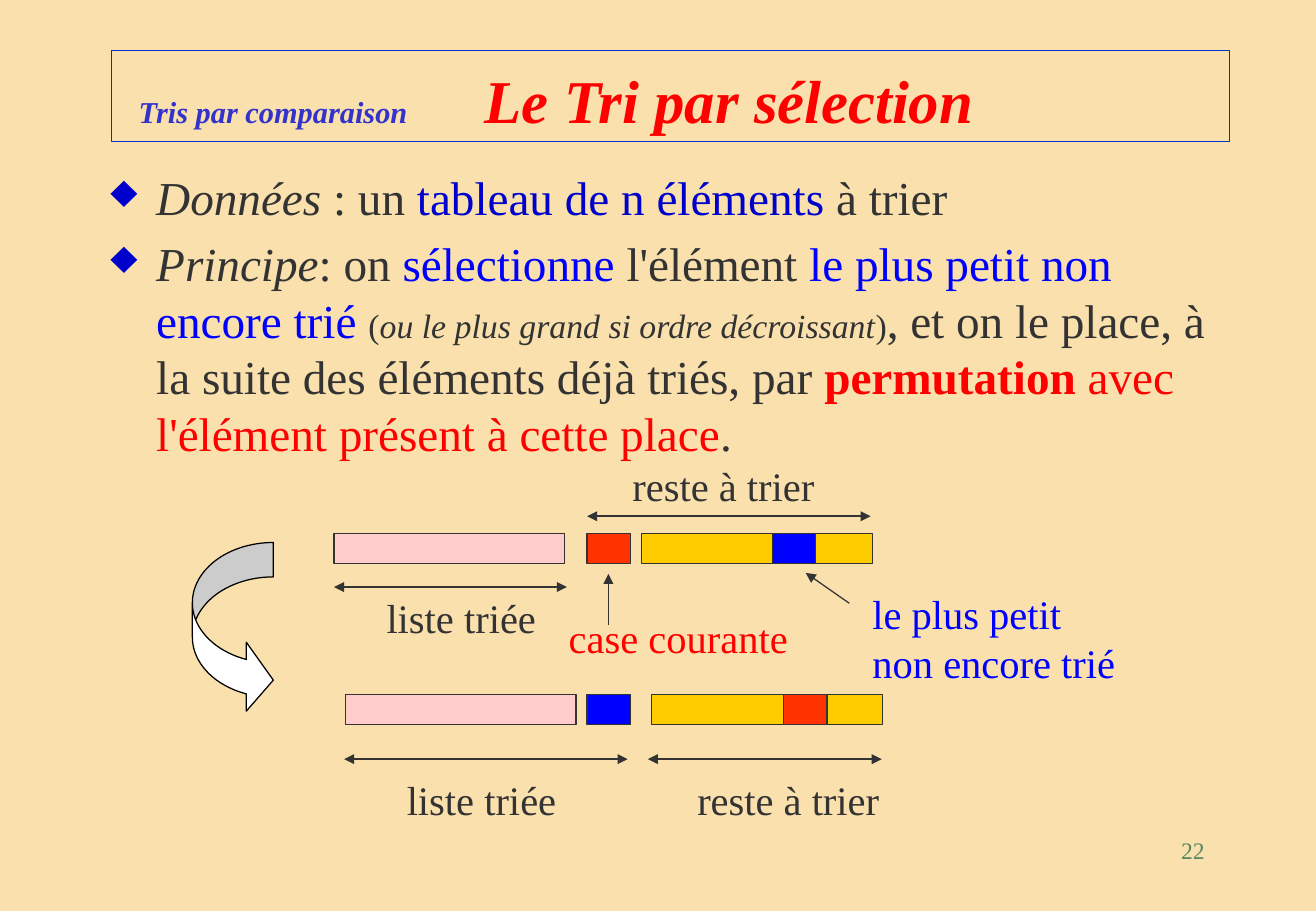
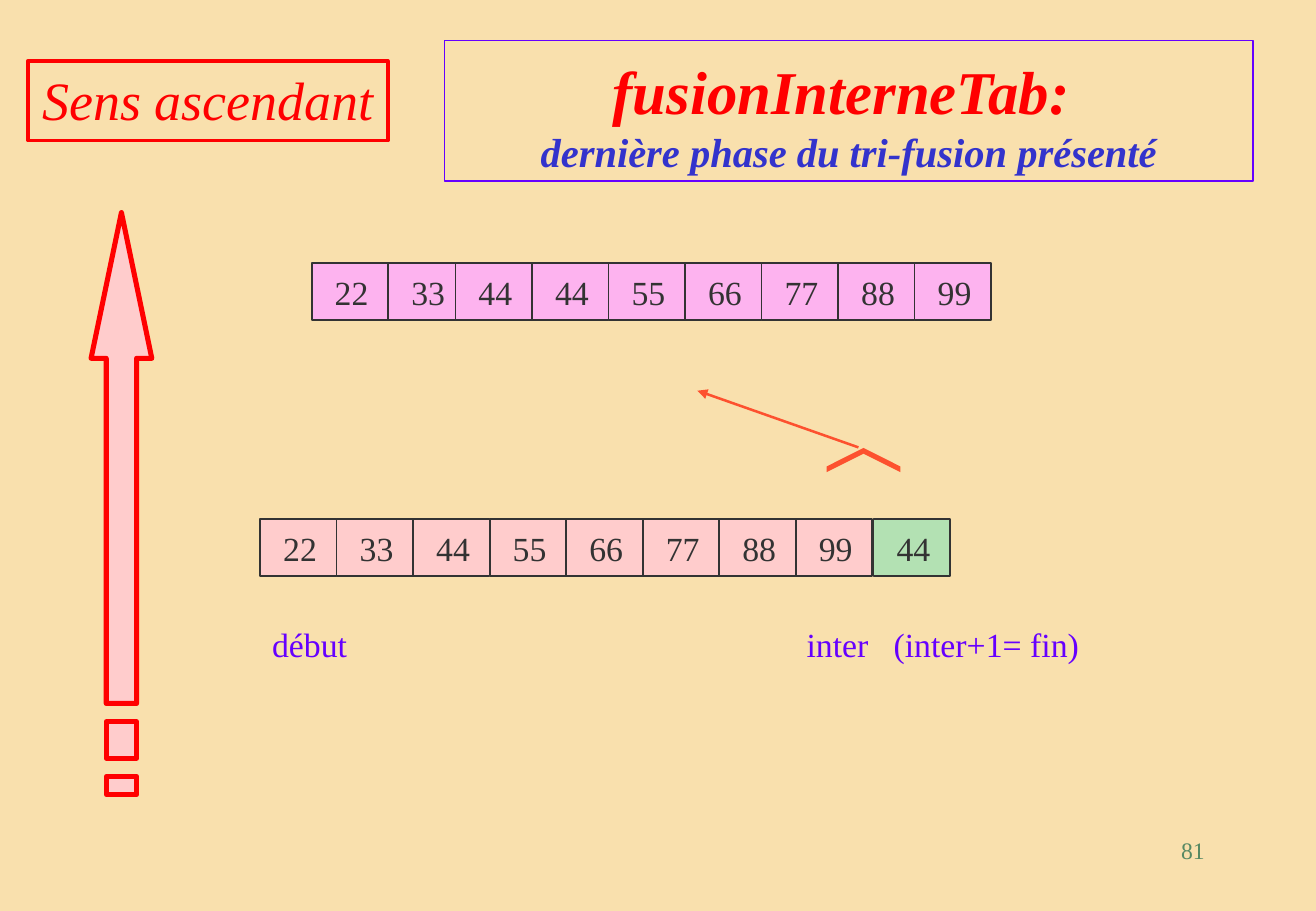
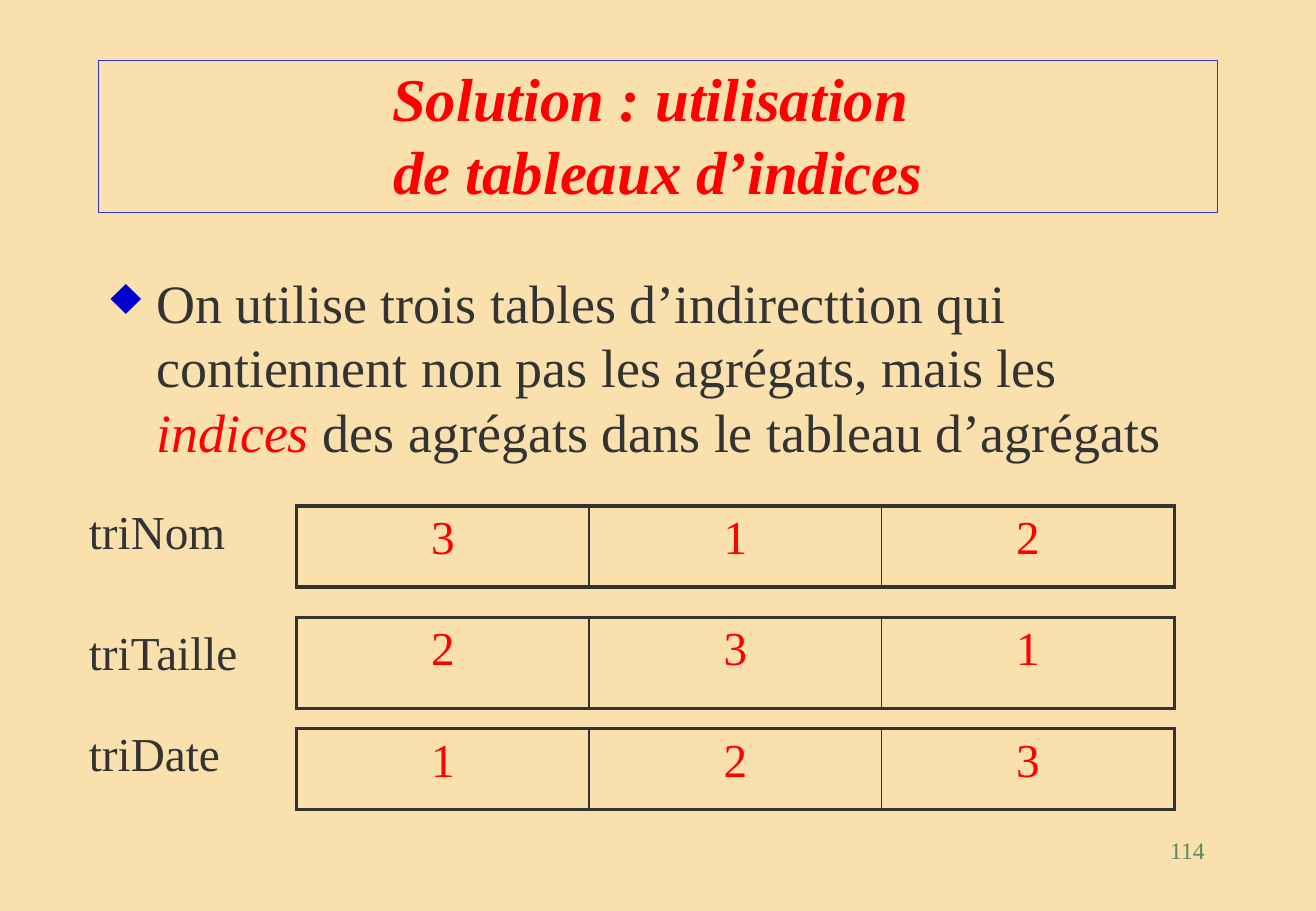
"""Three course slides on sorting algorithms, laid out on a grid of 130 columns by 90 rows."""
import pptx
import pptx.dml.color
import pptx.enum.shapes
import pptx.enum.text
import pptx.oxml.ns
import pptx.util
from lxml import etree

COLUMNS, ROWS = 130, 90
CELL = pptx.util.Inches(1) // 12
FONT = "Times New Roman"
ARROW_END = "triangle"

RGB = pptx.dml.color.RGBColor
SAND = RGB(0xF9, 0xE0, 0xAD)
INK = RGB(0x33, 0x33, 0x33)
BLACK = RGB(0x00, 0x00, 0x00)
WHITE = RGB(0xFF, 0xFF, 0xFF)
RED = RGB(0xFF, 0x00, 0x00)
ORANGE_RED = RGB(0xFF, 0x33, 0x00)
CORAL = RGB(0xFD, 0x51, 0x2F)
GOLD = RGB(0xFF, 0xCC, 0x00)
BLUE = RGB(0x00, 0x00, 0xFF)
DARK_BLUE = RGB(0x00, 0x00, 0xCC)
FRAME_BLUE = RGB(0x00, 0x33, 0xCC)
INDIGO = RGB(0x33, 0x33, 0xCC)
VIOLET = RGB(0x66, 0x00, 0xFF)
ROSE = RGB(0xFF, 0xCC, 0xCC)
PINK = RGB(0xFD, 0xB3, 0xEF)
MINT = RGB(0xB3, 0xE1, 0xB3)
GREEN = RGB(0x57, 0x89, 0x63)

ALIGN = pptx.enum.text.PP_ALIGN
ANCHOR = pptx.enum.text.MSO_ANCHOR
SHAPE = pptx.enum.shapes.MSO_SHAPE
TITLE = dict(size=36, color=RED, bold=True, italic=True, anchor=ANCHOR.BOTTOM)


def grid(*lengths):
    return [round(length * CELL) for length in lengths]


def add_node(parent, tag, **attributes):
    node = etree.SubElement(parent, pptx.oxml.ns.qn(tag))
    for name, value in attributes.items():
        node.set(name, str(value))
    return node


def add_bullet(para):
    properties = para._p.get_or_add_pPr()
    indent, = grid(4.5)
    properties.set("marL", str(indent))
    properties.set("indent", str(-indent))
    add_node(add_node(properties, "a:buClr"), "a:srgbClr", val=DARK_BLUE)
    add_node(properties, "a:buChar", char="♦")


def add_tabs(para, tabs):
    stops = add_node(para._p.get_or_add_pPr(), "a:tabLst")
    for position in grid(*tabs):
        add_node(stops, "a:tab", pos=position, algn="l")


def write(frame, *paras, size=24, color=INK, bold=False, italic=False,
          align=ALIGN.LEFT, bullet=False, tabs=(), before=0):
    """Fill a text frame; a paragraph is a string or a list of strings and (string, format) pairs."""
    for index, content in enumerate(paras):
        para = frame.paragraphs[0] if index == 0 else frame.add_paragraph()
        para.alignment = align
        para.space_before = pptx.util.Pt(before)
        if bullet:
            add_bullet(para)
        if tabs:
            add_tabs(para, tabs)
        for part in [content] if isinstance(content, str) else content:
            text, changes = (part, {}) if isinstance(part, str) else part
            style = dict(size=size, color=color, bold=bold, italic=italic) | changes
            span = para.add_run()
            span.text = text
            span.font.name = FONT
            span.font.size = pptx.util.Pt(style["size"])
            span.font.bold = style["bold"]
            span.font.italic = style["italic"]
            span.font.color.rgb = style["color"]


def put_text(shape, *paras, anchor=ANCHOR.TOP, inset=1.2, **style):
    frame = shape.text_frame
    frame.word_wrap = True
    frame.vertical_anchor = anchor
    frame.margin_left, frame.margin_right = grid(inset, min(inset, 1.2))
    write(frame, *paras, **style)


def add_text(page, at, *paras, **style):
    put_text(page.shapes.add_textbox(*grid(*at)), *paras, **style)


def paint(shape, fill, line, weight):
    shape.shadow.inherit = False
    if fill is None:
        shape.fill.background()
    else:
        shape.fill.solid()
        shape.fill.fore_color.rgb = fill
    shape.line.color.rgb = line
    shape.line.width = pptx.util.Pt(weight)


def add_box(page, at, fill=None, line=INK, weight=0.75, kind=SHAPE.RECTANGLE, adjust=()):
    box = page.shapes.add_shape(kind, *grid(*at))
    paint(box, fill, line, weight)
    for index, value in enumerate(adjust):
        box.adjustments[index] = value
    return box


def add_arrow(page, start, end, color=INK, weight=0.75, double=False):
    arrow = page.shapes.add_connector(
        pptx.enum.shapes.MSO_CONNECTOR.STRAIGHT, *grid(*start, *end))
    arrow.line.color.rgb = color
    arrow.line.width = pptx.util.Pt(weight)
    outline = arrow.line._get_or_add_ln()
    if double:
        add_node(outline, "a:headEnd", type=ARROW_END)
    add_node(outline, "a:tailEnd", type=ARROW_END)
    add_node(arrow._element.spPr, "a:effectLst")


def add_span_arrow(page, left, right, row):
    add_arrow(page, (left, row), (right, row), weight=1, double=True)


def add_bars(page, row, bars):
    for left, width, fill in bars:
        add_box(page, (left, row, width, 3), fill)


def add_number_cells(page, left, row, values, fill):
    width = 7.56
    for index, value in enumerate(values):
        cell = add_box(page, (left + index * width, row, width, 5.64), fill, weight=1)
        put_text(cell, str(value), size=20, align=ALIGN.CENTER,
                 anchor=ANCHOR.MIDDLE, inset=1.5)


def add_outline(page, contours, fill, line, weight):
    start, *others = [[grid(*point) for point in contour] for contour in contours]
    builder = page.shapes.build_freeform(*start[0], scale=1.0)
    builder.add_line_segments(start[1:], close=True)
    for contour in others:
        builder.move_to(*contour[0])
        builder.add_line_segments(contour[1:], close=True)
    paint(builder.convert_to_shape(), fill, line, weight)


def add_border(cell, side, weight):
    border = add_node(cell._tc.get_or_add_tcPr(), "a:ln" + side, w=pptx.util.Pt(weight))
    add_node(add_node(border, "a:solidFill"), "a:srgbClr", val=INK)


def add_index_table(page, row, height, values):
    table = page.shapes.add_table(1, len(values), *grid(29.3, row, 86.7, height)).table
    table.first_row = table.horz_banding = False
    last = len(values) - 1
    for index, value in enumerate(values):
        cell = table.cell(0, index)
        add_border(cell, "L", 2.25 if index == 0 else 1)
        add_border(cell, "R", 2.25 if index == last else 1)
        add_border(cell, "T", 2.25)
        add_border(cell, "B", 2.25)
        cell.fill.background()
        write(cell.text_frame, str(value), size=28, color=RED,
              align=ALIGN.CENTER, before=5.6)


def add_page(deck, number):
    page = deck.slides.add_slide(deck.slide_layouts[6])
    add_text(page, (93.1, 82, 27.1, 6), str(number), size=14, color=GREEN, align=ALIGN.RIGHT)
    return page


def add_selection_page(deck):
    page = add_page(deck, 22)
    title = add_box(page, (11, 5, 110.5, 9), line=FRAME_BLUE)
    put_text(title, [("Tris par comparaison", dict(size=18, color=INDIGO)),
                     "\tLe Tri par sélection"], tabs=[34.2], inset=2.7, **TITLE)
    add_text(
        page, (9.75, 16, 113.25, 68),
        [("Données ", dict(italic=True)), ": un ",
         ("tableau de n éléments", dict(color=DARK_BLUE)), " à trier"],
        [("Principe", dict(italic=True)), ": on ",
         ("sélectionne", dict(color=BLUE)), " l'élément ",
         ("le plus petit non encore trié ", dict(color=BLUE)),
         ("(", dict(size=20)),
         ("ou le plus grand si ordre décroissant", dict(size=20, italic=True)),
         (")", dict(size=20)),
         ", et on le place, à la suite des éléments déjà triés, par ",
         ("permutation", dict(color=RED, bold=True)),
         (" avec l'élément présent à cette place", dict(color=RED)), "."],
        size=28, bullet=True, before=5.6)

    add_bars(page, 52.7, [(33, 22.8, ROSE), (58, 4.3, ORANGE_RED),
                          (63.4, 22.8, GOLD), (76.3, 4.3, BLUE)])
    add_bars(page, 68.6, [(34.1, 22.8, ROSE), (58, 4.3, BLUE),
                          (64.4, 22.8, GOLD), (77.4, 4.3, ORANGE_RED)])
    for left, right, row in [(58, 86, 51), (33, 56, 58), (34, 62, 75), (64, 87.1, 75)]:
        add_span_arrow(page, left, right, row)
    add_arrow(page, (60.1, 61.7), (60.1, 56.7))
    add_arrow(page, (83.9, 59.6), (79.6, 56.6))
    add_box(page, (19, 53.6, 8, 17), WHITE, BLACK,
            kind=SHAPE.CURVED_RIGHT_ARROW, adjust=(0.425, 0.85, 0.333))

    for left, row, text, color in [
            (61.3, 45, "reste à trier", INK), (37, 58, "liste triée", INK),
            (55, 60, "case courante", RED), (39, 76, "liste triée", INK),
            (67.7, 76, "reste à trier", INK)]:
        add_text(page, (left, row, 26, 6), text, color=color)
    add_text(page, (85, 57.6, 28, 14.8), "le plus petit", "non encore trié", color=BLUE)


def add_merge_page(deck):
    page = add_page(deck, 81)
    title = add_box(page, (43.9, 4, 79.9, 13.9), line=VIOLET)
    put_text(title, "fusionInterneTab: ",
             [("dernière phase du tri-fusion présenté", dict(size=24, color=INDIGO))],
             align=ALIGN.CENTER, **TITLE)
    direction = add_box(page, (2.8, 6, 35.5, 7.9), line=RED, weight=2.25)
    put_text(direction, "Sens ascendant", size=32, color=RED, italic=True,
             align=ALIGN.CENTER, inset=0)

    add_number_cells(page, 30.8, 26, [22, 33], PINK)
    add_number_cells(page, 45, 26, [44, 44, 55, 66, 77, 88, 99], PINK)
    add_number_cells(page, 25.7, 51.3, [22, 33, 44, 55, 66, 77, 88, 99], ROSE)
    add_number_cells(page, 86.3, 51.3, [44], MINT)

    bracket = add_box(page, (84.1, 41.8, 2.4, 7.3), CORAL, CORAL,
                      kind=SHAPE.CHEVRON, adjust=(0.765,))
    bracket.line.fill.background()
    bracket.rotation = 270
    add_arrow(page, (84.8, 44.2), (68.9, 38.6), CORAL, 1.5)

    left, right, neck = 10.5, 13.5, 35.4
    upward = [(12, 21), (15, neck), (right, neck), (right, 69.5),
              (left, 69.5), (left, neck), (9, neck)]
    dashes = [[(left, top), (right, top), (right, bottom), (left, bottom)]
              for top, bottom in [(71.3, 74.9), (76.7, 78.5)]]
    add_outline(page, [upward, *dashes], ROSE, RED, 3)
    add_text(page, (25.7, 61, 94.6, 5.2), "début\tinter\t(inter+1= fin)",
             size=20, color=VIOLET, tabs=[52.8, 61.4])


def add_index_page(deck):
    page = add_page(deck, 114)
    title = add_box(page, (9.75, 6, 110.5, 15), line=INDIGO)
    put_text(title, "Solution : utilisation ", "de tableaux d’indices",
             align=ALIGN.CENTER, **TITLE)
    add_text(page, (9.75, 26, 108.2, 21),
             ["On utilise trois tables d’indirecttion qui contiennent non pas les agrégats, "
              "mais les ", ("indices", dict(color=RED, italic=True)),
              " des agrégats dans le tableau d’agrégats"],
             size=32, bullet=True, before=6.4)
    for name, label_row, row, height, values in [
            ("triNom", 49, 50, 8, [3, 1, 2]),
            ("triTaille", 61, 61, 9, [2, 3, 1]),
            ("triDate", 71, 72, 8, [1, 2, 3])]:
        add_text(page, (7.6, label_row, 20, 6.8), name, size=28)
        add_index_table(page, row, height, values)


def main():
    deck = pptx.Presentation()
    deck.slide_width, deck.slide_height = grid(COLUMNS, ROWS)
    backdrop = deck.slide_master.background.fill
    backdrop.solid()
    backdrop.fore_color.rgb = SAND
    add_selection_page(deck)
    add_merge_page(deck)
    add_index_page(deck)
    deck.save("out.pptx")


if __name__ == "__main__":
    main()
